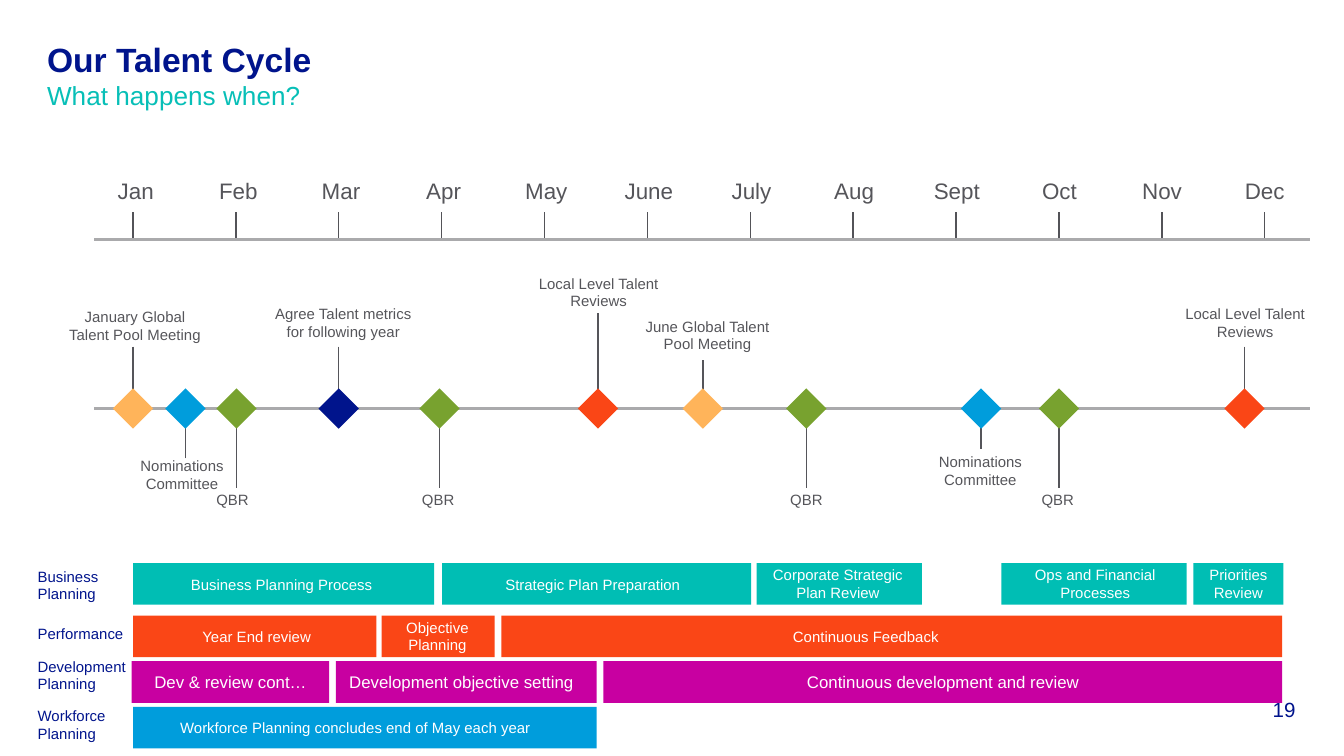
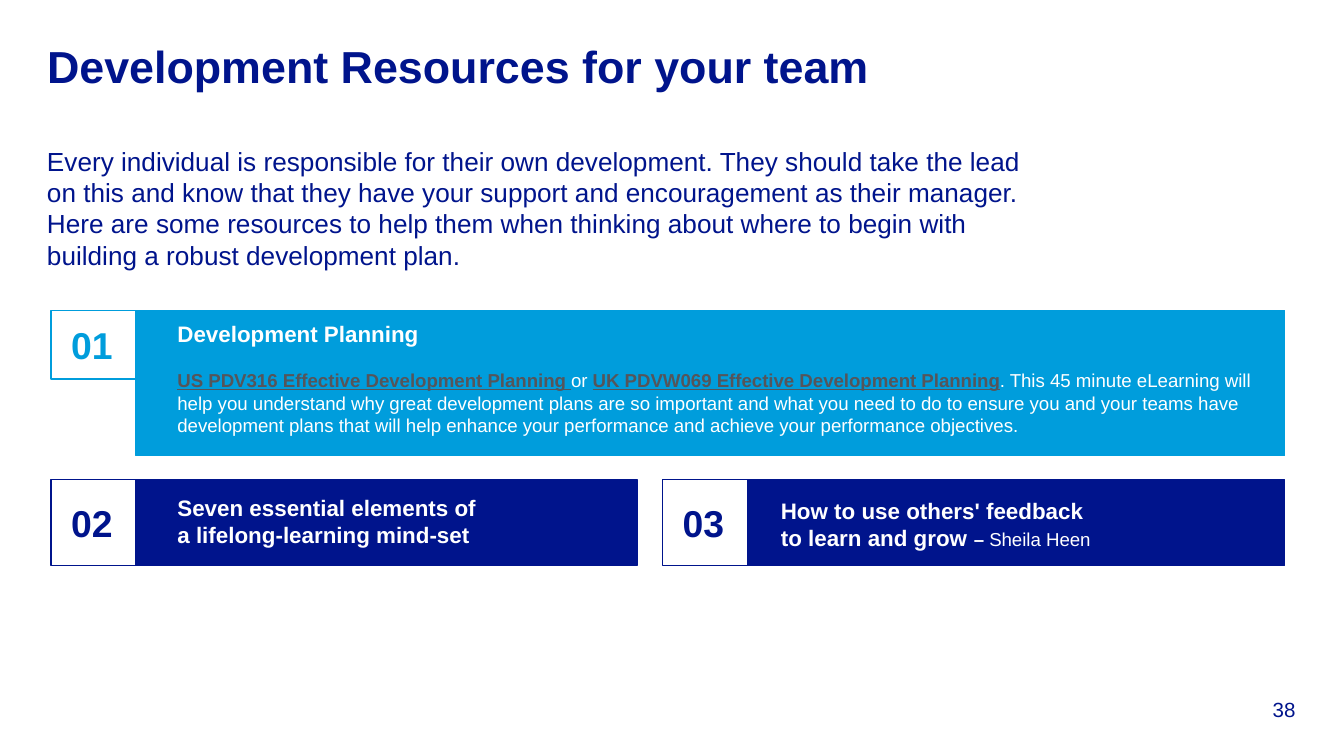
from collections import namedtuple

from lxml import etree
from pptx import Presentation
from pptx.dml.color import RGBColor
from pptx.enum.shapes import MSO_CONNECTOR, MSO_SHAPE
from pptx.enum.text import MSO_ANCHOR, PP_ALIGN
from pptx.oxml.ns import qn
from pptx.util import Inches, Pt

NAVY = RGBColor(0x00, 0x14, 0x8C)
TEAL = RGBColor(0x00, 0xBE, 0xB4)
SUBTITLE_TEAL = RGBColor(0x07, 0xBF, 0xB7)
ORANGE = RGBColor(0xFA, 0x46, 0x16)
BLUE = RGBColor(0x00, 0x9D, 0xDC)
MAGENTA = RGBColor(0xC8, 0x00, 0xA1)
AMBER = RGBColor(0xFF, 0xB4, 0x5A)
GREEN = RGBColor(0x78, 0xA2, 0x2F)
GREY = RGBColor(0x55, 0x55, 0x5A)
TICK_GREY = RGBColor(0x53, 0x53, 0x58)
AXIS_GREY = RGBColor(0xAA, 0xAA, 0xAC)
WHITE = RGBColor(0xFF, 0xFF, 0xFF)

LEFT, CENTER, RIGHT = PP_ALIGN.LEFT, PP_ALIGN.CENTER, PP_ALIGN.RIGHT
TOP, MIDDLE, BOTTOM = MSO_ANCHOR.TOP, MSO_ANCHOR.MIDDLE, MSO_ANCHOR.BOTTOM
RECT, DIAMOND = MSO_SHAPE.RECTANGLE, MSO_SHAPE.DIAMOND
STRAIGHT = MSO_CONNECTOR.STRAIGHT

Box = namedtuple("Box", "x y w h")
Run = namedtuple("Run", "text size color bold underline", defaults=(False, False))

NO_INSETS = {"margin_left": 0, "margin_top": 0, "margin_right": 0, "margin_bottom": 0}
CAPTION_HEIGHTS = {1: 0.13, 2: 0.27}
TITLE_BOX = Box(0.35, 0.29, 9.29, 0.48)
NUMBER_BOX = Box(9.06, 5.18, 0.58, 0.19)


def set_all(target, values):
    for name, value in values.items():
        setattr(target, name, value)


def emu(box):
    return [Inches(length) for length in box]


def write(frame, paragraphs, align=LEFT, anchor=TOP, after=0):
    set_all(frame, {"word_wrap": True, "vertical_anchor": anchor})
    for index, runs in enumerate(paragraphs):
        paragraph = frame.add_paragraph() if index else frame.paragraphs[0]
        set_all(paragraph, {"alignment": align, "space_after": Pt(after)})
        for part in runs:
            for row, line in enumerate(part.text.split("\n")):
                if row:
                    paragraph.add_line_break()
                if line:
                    run = paragraph.add_run()
                    run.text = line
                    set_all(run.font, {"name": "Arial", "size": Pt(part.size),
                                       "bold": part.bold, "underline": part.underline})
                    run.font.color.rgb = part.color


def add_text(slide, box, *paragraphs, **layout):
    frame = slide.shapes.add_textbox(*emu(box)).text_frame
    set_all(frame, NO_INSETS)
    write(frame, paragraphs, **layout)


def add_block(slide, box, fill=None, outline=None, preset=RECT):
    block = slide.shapes.add_shape(preset, *emu(box))
    block.shadow.inherit = False
    if fill is None:
        block.fill.background()
    else:
        block.fill.solid()
        block.fill.fore_color.rgb = fill
    if outline is None:
        block.line.fill.background()
    else:
        block.line.color.rgb = outline
        block.line.width = Pt(0.75)
    return block


def add_rule(slide, x1, y1, x2, y2, color, width=0.75):
    rule = slide.shapes.add_connector(STRAIGHT, *emu((x1, y1, x2, y2)))
    rule.line.color.rgb = color
    rule.line.width = Pt(width)
    etree.SubElement(rule._element.spPr, qn("a:effectLst"))


def add_page(deck, number, *title):
    slide = deck.slides.add_slide(deck.slide_layouts[6])
    add_text(slide, NUMBER_BOX, [Run(number, 11, NAVY)], align=RIGHT, anchor=BOTTOM)
    add_text(slide, TITLE_BOX, title)
    return slide


def add_calendar(slide, box, months):
    axis = box.y + box.h
    for index, month in enumerate(months):
        add_text(slide, Box(box.x + 8.4 / 11 * index, box.y, 0.62, 0.2),
                 [Run(month, 12, GREY)], align=CENTER)
        tick = box.x + 0.29 + 8.42 / 11 * index
        add_rule(slide, tick, box.y + 0.26, tick, axis - 0.01, TICK_GREY)
    add_rule(slide, box.x, axis, box.x + box.w, axis, AXIS_GREY, 1.5)


def add_milestones(slide, box, milestones):
    axis = box.y + box.h / 2
    add_rule(slide, box.x, axis, box.x + box.w, axis, AXIS_GREY, 1.5)
    for center, color, stem, caption, caption_left, caption_top, caption_width in milestones:
        x = box.x + center
        start = axis + (0.14 if stem > 0 else -0.09)
        lines = 1 if caption == "QBR" else 2
        add_rule(slide, x, axis + stem, x, start, GREY)
        add_block(slide, Box(x - 0.15, axis - 0.15, 0.3, 0.3), color, preset=DIAMOND)
        add_text(slide, Box(box.x + caption_left, axis + caption_top,
                            caption_width, CAPTION_HEIGHTS[lines]),
                 [Run(caption, 8, GREY)], align=LEFT if lines == 1 else CENTER)


def add_lane(slide, box, label, label_top, label_width, color, bars):
    add_text(slide, Box(box.x - 0.71, box.y + label_top, label_width,
                        CAPTION_HEIGHTS[label.count("\n") + 1]),
             [Run(label, 8, NAVY)])
    for left, width, caption, align, caption_left, caption_width, lines in bars:
        x = box.x + left
        block = add_block(slide, Box(x, box.y, width, box.h), color)
        if caption_width is None:
            write(block.text_frame, [[Run(caption, 9, WHITE)]], align=align, anchor=MIDDLE)
        else:
            height = CAPTION_HEIGHTS[lines]
            add_text(slide, Box(x + caption_left, box.y + (box.h - height) / 2, caption_width, height),
                     [Run(caption, 8, WHITE)], align=align)


def add_resource(slide, box, number, color, badge_height, text_box, *paragraphs):
    add_block(slide, Box(box.x + 0.63, box.y, box.w - 0.63, box.h), color, color)
    add_text(slide, Box(box.x + text_box.x, box.y + text_box.y, text_box.w, text_box.h),
             *paragraphs, after=12)
    add_block(slide, Box(box.x, box.y, 0.64, badge_height), outline=color)
    add_text(slide, Box(box.x + 0.15, box.y + (badge_height - 0.34) / 2, 0.43, 0.34),
             [Run(number, 20, color, True)])


MONTHS = ["Jan", "Feb", "Mar", "Apr", "May", "June",
          "July", "Aug", "Sept", "Oct", "Nov", "Dec"]

MILESTONES = [
    (0.29, AMBER, -0.46, "January Global Talent Pool Meeting", -0.23, -0.75, 1.07),
    (0.68, BLUE, 0.37, "Nominations Committee", 0.3, 0.36, 0.71),
    (1.06, GREEN, 0.59, "QBR", 0.91, 0.61, 0.47),
    (1.82, NAVY, -0.46, "Agree Talent metrics for following year", 1.32, -0.77, 1.07),
    (2.57, GREEN, 0.59, "QBR", 2.44, 0.61, 0.47),
    (3.75, ORANGE, -0.71, "Local Level Talent Reviews", 3.22, -1, 1.07),
    (4.53, AMBER, -0.36, "June Global Talent Pool Meeting", 4.03, -0.68, 1.07),
    (5.3, GREEN, 0.59, "QBR", 5.18, 0.61, 0.47),
    (6.6, BLUE, 0.3, "Nominations Committee", 6.24, 0.33, 0.71),
    (7.18, GREEN, 0.59, "QBR", 7.05, 0.61, 0.47),
    (8.56, ORANGE, -0.46, "Local Level Talent Reviews", 8.03, -0.77, 1.07),
]

LANES = [
    (4.19, "Business\nPlanning", 0.03, 0.64, TEAL, [
        (0, 2.24, "Business Planning Process", LEFT, 0.43, 1.54, 1),
        (2.3, 2.3, "Strategic Plan Preparation", LEFT, 0.47, 1.54, 1),
        (4.64, 1.23, "Corporate Strategic\nPlan Review", CENTER, 0.1, 1.01, 2),
        (6.46, 1.38, "Ops and Financial Processes", CENTER, 0.13, 1.14, 2),
        (7.89, 0.67, "Priorities\nReview", CENTER, 0.05, 0.57, 2)]),
    (4.58, "Performance", 0.07, 0.71, ORANGE, [
        (0, 1.81, "Year End review", CENTER, 0.15, 1.54, 1),
        (1.85, 0.84, "Objective\nPlanning", CENTER, 0.12, 0.59, 2),
        (2.74, 5.81, "Continuous Feedback", LEFT, 2.17, 1.54, 1)]),
    (4.92, "Development\nPlanning", -0.03, 1.42, MAGENTA, [
        (-0.01, 1.47, "Dev & review cont…", CENTER, 0, None, 1),
        (1.51, 1.94, "Development objective setting", LEFT, 0, None, 1),
        (3.5, 5.05, "Continuous development and review", CENTER, 0, None, 1)]),
    (5.26, "Workforce\nPlanning", 0, 1.42, BLUE, [
        (0, 3.45, "Workforce Planning concludes end of May each year", LEFT, 0.35, 3, 1)]),
]

INTRO = (
    "Every individual is responsible for their own development. They should take the lead on this "
    "and know that they have your support and encouragement as their manager. Here are some "
    "resources to help them when thinking about where to begin with building a robust "
    "development plan.")
ELEARNING = (
    ". This 45 minute eLearning will help you understand why great development plans are so "
    "important and what you need to do to ensure you and your teams have development plans that "
    "will help enhance your performance and achieve your performance objectives.")


def build_talent_cycle(deck):
    slide = add_page(deck, "19", Run("Our Talent Cycle\n", 18, NAVY, True),
                     Run("What happens when?", 14, SUBTITLE_TEAL))
    add_calendar(slide, Box(0.7, 1.32, 9.05, 0.46), MONTHS)
    add_milestones(slide, Box(0.7, 2.04, 9.05, 2), MILESTONES)
    for top, *lane in LANES:
        add_lane(slide, Box(0.99, top, 8.55, 0.31), *lane)


def build_resources(deck):
    slide = add_page(deck, "38", Run("Development Resources for your team", 24, NAVY, True))
    add_text(slide, Box(0.35, 1.08, 7.26, 0.94), [Run(INTRO, 14, NAVY)])
    add_resource(slide, Box(0.38, 2.31, 9.18, 1.08), "01", BLUE, 0.51, Box(0.94, 0.07, 8.12, 0.88),
                 [Run("Development Planning", 12, WHITE, True)],
                 [Run("US PDV316 Effective Development Planning ", 10, GREY, True, True),
                  Run("or ", 10, WHITE),
                  Run("UK PDVW069 Effective Development Planning", 10, GREY, True, True),
                  Run(ELEARNING, 10, WHITE)])
    add_resource(slide, Box(0.38, 3.57, 4.36, 0.64), "02", NAVY, 0.64, Box(0.94, 0.11, 2.35, 0.4),
                 [Run("Seven essential elements of a lifelong-learning mind-set", 12, WHITE, True)])
    add_resource(slide, Box(4.93, 3.57, 4.63, 0.64), "03", NAVY, 0.64, Box(0.88, 0.13, 2.41, 0.4),
                 [Run("How to use others' feedback to learn and grow ", 12, WHITE, True),
                  Run("– ", 10, WHITE, True), Run("Sheila Heen", 10, WHITE)])


deck = Presentation()
set_all(deck, {"slide_width": Inches(10), "slide_height": Inches(10) * 9 // 16})
build_talent_cycle(deck)
build_resources(deck)
deck.save("out.pptx")
